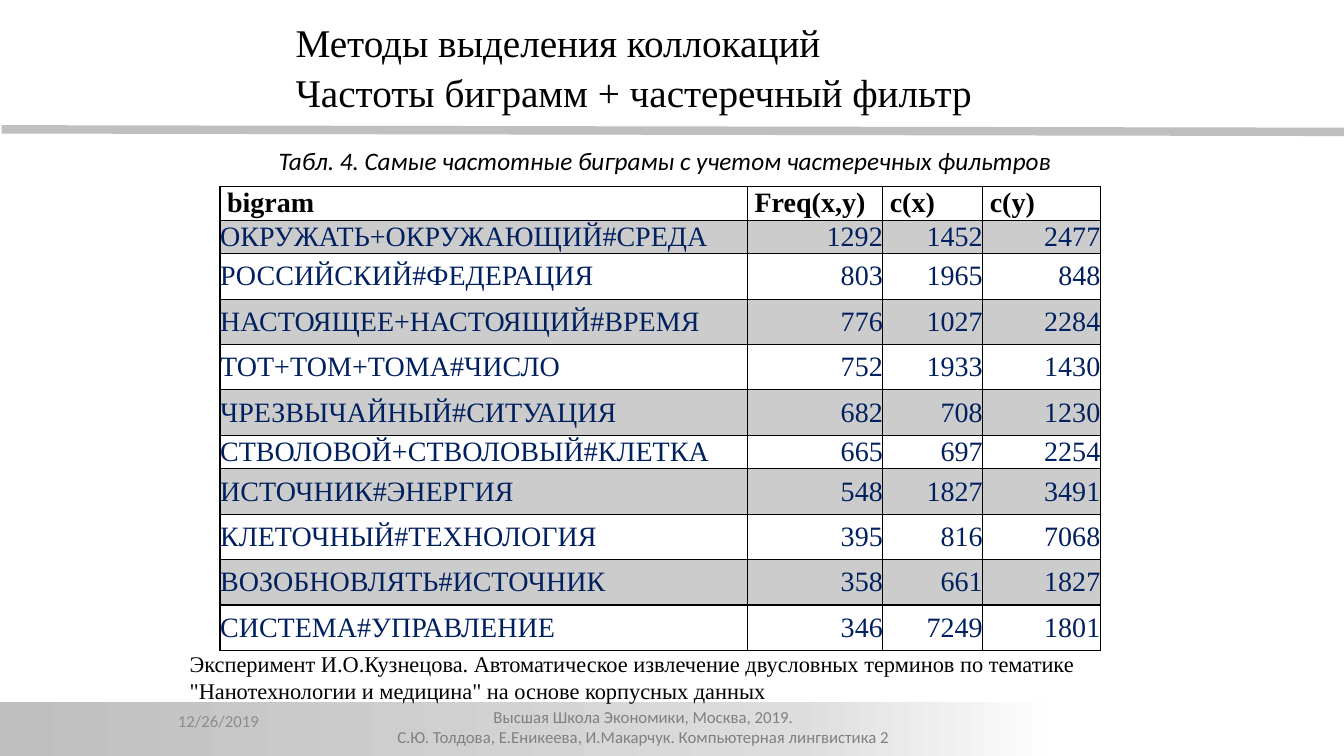
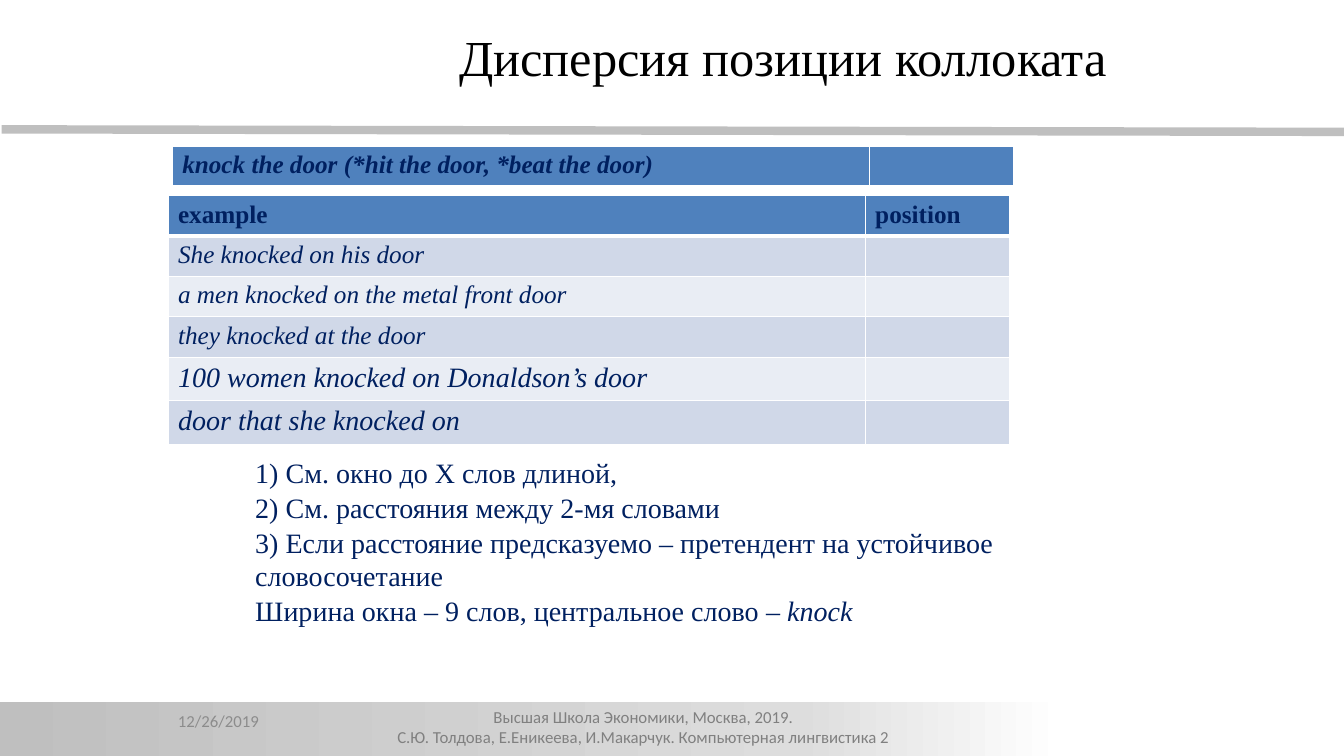
from dataclasses import dataclass

from lxml import etree
from pptx import Presentation
from pptx import util as u
from pptx.dml.color import RGBColor
from pptx.enum import shapes, text
from pptx.oxml import ns, parse_xml

COLS, ROWS = 160, 90
LEFT, MID, RIGHT = text.PP_ALIGN.LEFT, text.PP_ALIGN.CENTER, text.PP_ALIGN.RIGHT


@dataclass(frozen=True)
class Theme:
    serif: str = "Times New Roman"
    sans: str = "Calibri"
    ink: str = "000000"
    navy: str = "002060"
    blue: str = "4F81BD"
    pale: str = "D0D8E8"
    light: str = "E9EDF4"
    white: str = "FFFFFF"
    band: str = "CCCCCC"
    rule: str = "BFBFBF"
    fade: str = "DDDDDD"
    foot: str = "808080"
    date: str = "8C8C8C"
    head: int = 36
    pair: int = 28
    body: int = 20
    cell: int = 18
    note: int = 16
    small: int = 12


class Deck:
    def __init__(self, theme):
        self.look = theme
        self.prs = Presentation()
        self.prs.slide_width = u.Inches(13.33)
        self.prs.slide_height = u.Inches(7.5)
        self.slide = None

    def x(self, cols):
        return u.Emu(round(self.prs.slide_width * cols / COLS))

    def y(self, rows):
        return u.Emu(round(self.prs.slide_height * rows / ROWS))

    def area(self, left, top, wide, high):
        return self.x(left), self.y(top), self.x(wide), self.y(high)

    def page(self):
        self.slide = self.prs.slides.add_slide(self.prs.slide_layouts[6])
        self.line((0.2, 15.4), (COLS, 15.7))
        self.bar((0, 83.6, 126.6, 6.4))
        look = self.look
        self.text((30.5, 83.5, 92.2, 5.4),
                  ["Высшая Школа Экономики, Москва, 2019.",
                   "С.Ю. Толдова, Е.Еникеева, И.Макарчук. Компьютерная лингвистика 2"],
                  look.small, look.foot, look.sans, align=MID)
        self.text((20, 83.4, 28, 4.8), ["12/26/2019"], look.small, look.date,
                  look.sans, anchor=text.MSO_ANCHOR.MIDDLE)

    def line(self, start, end):
        link = self.slide.shapes.add_connector(
            shapes.MSO_CONNECTOR.STRAIGHT, self.x(start[0]), self.y(start[1]),
            self.x(end[0]), self.y(end[1]))
        link.line.color.rgb = RGBColor.from_string(self.look.rule)
        link.line.width = u.Pt(6)
        etree.SubElement(link._element.spPr, ns.qn("a:effectLst"))

    def bar(self, area):
        box = self.slide.shapes.add_shape(
            shapes.MSO_SHAPE.RECTANGLE, *self.area(*area))
        box.shadow.inherit = False
        box.line.fill.background()
        box.fill.gradient()
        box.fill.gradient_angle = 0
        stops = box._element.spPr.find(ns.qn("a:gradFill")).find(ns.qn("a:gsLst"))
        for stop in list(stops):
            stops.remove(stop)
        look = self.look
        for part, tone in ((0, look.rule), (75, look.fade), (100, look.white)):
            stop = etree.SubElement(stops, ns.qn("a:gs"), pos=str(part * 1000))
            etree.SubElement(stop, ns.qn("a:srgbClr"), val=tone)

    def font(self, run, size, tone, face, bold=False, slant=False):
        font = run.font
        font.size, font.name = u.Pt(size), face
        font.bold, font.italic = bold, slant
        font.color.rgb = RGBColor.from_string(tone)

    def text(self, area, lines, size, tone, face, slant=False, align=LEFT,
             anchor=text.MSO_ANCHOR.TOP, gap=0):
        frame = self.slide.shapes.add_textbox(*self.area(*area)).text_frame
        frame.word_wrap = True
        frame.vertical_anchor = anchor
        frame.text = "\n".join(lines)
        for spot, para in enumerate(frame.paragraphs):
            para.alignment = align
            para.space_before = u.Pt(gap if spot else 0)
            for run in para.runs:
                self.font(run, size, tone, face, slant=slant)
        return frame

    def title(self, area, lines, size):
        self.text(area, lines, size, self.look.ink, self.look.serif, gap=2)

    def table(self, left, top, cols, rows):
        grid = self.slide.shapes.add_table(
            len(rows), len(cols),
            *self.area(left, top, sum(cols), sum(rows))).table
        grid.first_row = grid.horz_banding = False
        for col, wide in zip(grid.columns, cols):
            col.width = self.x(wide)
        for row, high in zip(grid.rows, rows):
            row.height = self.y(high)
        return grid

    def cell(self, cell, words, size, tone, fill=None, bold=False, slant=False,
             align=LEFT, pad=None, edge="FFFFFF", over=1, under=1):
        if pad is not None:
            cell.margin_left = cell.margin_right = u.Inches(pad)
            cell.margin_top = cell.margin_bottom = 0
            cell.vertical_anchor = text.MSO_ANCHOR.MIDDLE
        cell.text = words
        para = cell.text_frame.paragraphs[0]
        para.alignment = align
        for run in para.runs:
            self.font(run, size, tone, self.look.serif, bold, slant)
        props = cell._tc.get_or_add_tcPr()
        for side, wide in (("L", 1), ("R", 1), ("T", over), ("B", under)):
            props.append(parse_xml(
                f'<a:ln{side} {ns.nsdecls("a")} w="{u.Pt(wide)}"><a:solidFill>'
                f'<a:srgbClr val="{edge}"/></a:solidFill></a:ln{side}>'))
        if fill:
            cell.fill.solid()
            cell.fill.fore_color.rgb = RGBColor.from_string(fill)
        else:
            cell.fill.background()


def pairs(deck):
    look = deck.look
    deck.page()
    data = [
        ("ОКРУЖАТЬ+ОКРУЖАЮЩИЙ#СРЕДА", 1292, 1452, 2477),
        ("РОССИЙСКИЙ#ФЕДЕРАЦИЯ", 803, 1965, 848),
        ("НАСТОЯЩЕЕ+НАСТОЯЩИЙ#ВРЕМЯ", 776, 1027, 2284),
        ("ТОТ+ТОМ+ТОМА#ЧИСЛО", 752, 1933, 1430),
        ("ЧРЕЗВЫЧАЙНЫЙ#СИТУАЦИЯ", 682, 708, 1230),
        ("СТВОЛОВОЙ+СТВОЛОВЫЙ#КЛЕТКА", 665, 697, 2254),
        ("ИСТОЧНИК#ЭНЕРГИЯ", 548, 1827, 3491),
        ("КЛЕТОЧНЫЙ#ТЕХНОЛОГИЯ", 395, 816, 7068),
        ("ВОЗОБНОВЛЯТЬ#ИСТОЧНИК", 358, 661, 1827),
        ("СИСТЕМА#УПРАВЛЕНИЕ", 346, 7249, 1801),
    ]
    tall = [3.7] + [5.4] * 4 + [3.8] + [5.4] * 4
    grid = deck.table(26.2, 22.2, [62.8, 16.1, 11.9, 14], [4] + tall)
    for col, name in enumerate(("bigram", "Freq(x,y)", "c(x)", "c(y)")):
        deck.cell(grid.cell(0, col), name, look.body, look.ink, bold=True,
                  pad=0.07, edge=look.ink)
    for row, items in enumerate(data, 1):
        for col, item in enumerate(items):
            deck.cell(grid.cell(row, col), str(item), look.body, look.navy,
                      fill=look.band if row % 2 else None,
                      align=RIGHT if col else LEFT, pad=0, edge=look.ink)
    deck.text((32, 16.7, 95.2, 4.8),
              ["Табл. 4. Самые частотные биграмы с учетом частеречных фильтров"],
              look.cell, look.ink, look.sans, slant=True)
    deck.text((21.4, 76.8, 109.7, 7.7),
              ["Эксперимент И.О.Кузнецова. Автоматическое извлечение двусловных "
               "терминов по тематике \"Нанотехнологии и медицина\" на основе "
               "корпусных данных"],
              look.note, look.ink, look.serif)
    deck.title((34, 1.6, 94.6, 12.5),
               ["Методы выделения коллокаций",
                "Частоты биграмм + частеречный фильтр"], look.pair)


def spread(deck):
    look = deck.look
    deck.page()
    frame = deck.text((29.2, 53.6, 105.8, 25),
                      ["1) См. окно до Х слов длиной,",
                       "2) См. расстояния между 2-мя словами",
                       "3) Если расстояние предсказуемо – претендент на устойчивое "
                       "словосочетание",
                       "Ширина окна – 9 слов, центральное слово "],
                      look.body, look.navy, look.serif, gap=1)
    tail = frame.paragraphs[-1].add_run()
    tail.text = "– knock"
    deck.font(tail, look.body, look.navy, look.serif, slant=True)

    cols = [83, 17.2]
    data = ["She knocked on his door", "a men knocked on the metal front door",
            "they knocked at the door", "100 women knocked on Donaldson’s door",
            "door that she knocked on"]
    grid = deck.table(20, 23.3, cols, [4.8] * 4 + [5.2] * 2)
    for col, name in enumerate(("example", "position")):
        deck.cell(grid.cell(0, col), name, look.cell, look.navy, look.blue,
                  bold=True, under=3)
    for row, words in enumerate(data, 1):
        for col, item in enumerate((words, "")):
            deck.cell(grid.cell(row, col), item,
                      look.body if row > 3 else look.cell, look.navy,
                      look.pale if row % 2 else look.light, slant=True,
                      over=3 if row == 1 else 1)

    strip = deck.table(20.5, 17.4, cols, [4.8])
    for col, item in enumerate(("knock the door (*hit the door, *beat the door)", "")):
        deck.cell(strip.cell(0, col), item, look.cell, look.navy, look.blue,
                  bold=True, slant=True, under=3)
    deck.title((53.5, 2.5, 86.4, 8.5), ["Дисперсия позиции коллоката"], look.head)


def main():
    deck = Deck(Theme())
    pairs(deck)
    spread(deck)
    deck.prs.save("out.pptx")


if __name__ == "__main__":
    main()
